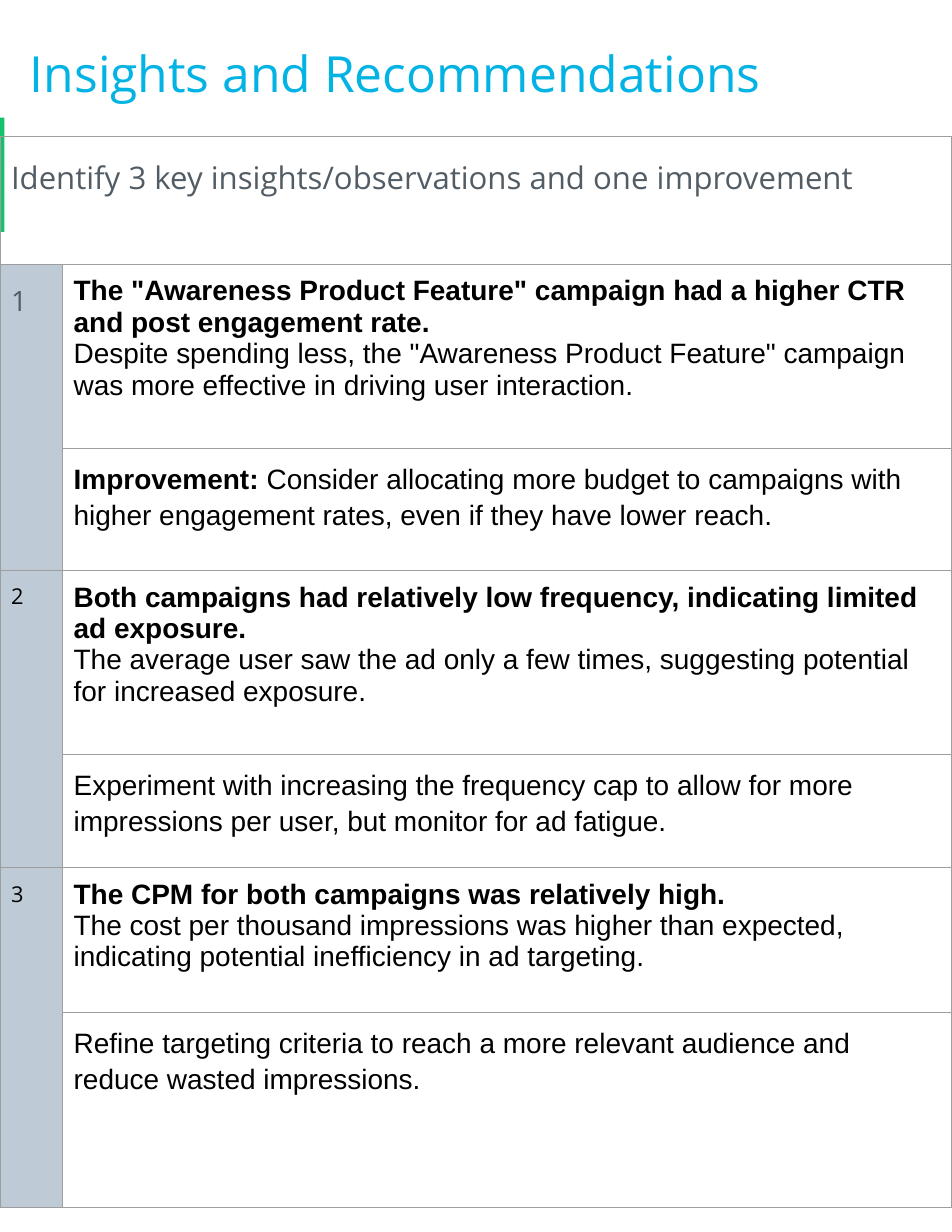
from dataclasses import dataclass

from lxml import etree
from pptx import Presentation
from pptx.dml.color import RGBColor
from pptx.enum.shapes import MSO_SHAPE
from pptx.enum.text import MSO_ANCHOR
from pptx.oxml.ns import qn
from pptx.util import Cm, Pt

RECTANGLE = MSO_SHAPE.RECTANGLE
TOP, MIDDLE = MSO_ANCHOR.TOP, MSO_ANCHOR.MIDDLE

CYAN = RGBColor(0x02, 0xB3, 0xE4)
GREEN = RGBColor(0x15, 0xC2, 0x6B)
SLATE = RGBColor(0x52, 0x5C, 0x65)
PALE_BLUE = RGBColor(0xBE, 0xCB, 0xD6)
BLACK = RGBColor(0, 0, 0)
BORDER = "9E9E9E"

INSET = Cm(0.25)
COLUMN_WIDTHS = (1.42, 20.17)
ROW_HEIGHTS = (2.9, 4.17, 2.77, 4.17, 2.57, 3.28, 4.42)


@dataclass
class Style:
    size: int
    color: RGBColor = BLACK
    font: str = "Open Sans"
    bold: bool = False
    line: float = 1.0
    after: int = 0


@dataclass
class Insight:
    number: Style
    headline: str
    detail: str
    action: str
    label: str = ""


TITLE = Style(32, CYAN, line=1.15)
PROMPT = Style(20, SLATE, line=1.2)
FIRST_NUMBER = Style(18, SLATE, line=1.15, after=16)
NUMBER = Style(14)
HEADLINE = Style(18, font="Arial", bold=True)
DETAIL = Style(18, font="Arial")
ACTION = Style(18, font="Arial", line=1.15, after=16)

INSIGHTS = (
    Insight(FIRST_NUMBER,
            'The "Awareness Product Feature" campaign had a higher CTR and post engagement rate.',
            'Despite spending less, the "Awareness Product Feature" campaign was more effective '
            "in driving user interaction.",
            " Consider allocating more budget to campaigns with higher engagement rates, "
            "even if they have lower reach.",
            label="Improvement:"),
    Insight(NUMBER,
            "Both campaigns had relatively low frequency, indicating limited ad exposure.",
            "The average user saw the ad only a few times, suggesting potential for "
            "increased exposure.",
            "Experiment with increasing the frequency cap to allow for more impressions per "
            "user, but monitor for ad fatigue."),
    Insight(NUMBER,
            "The CPM for both campaigns was relatively high.",
            "The cost per thousand impressions was higher than expected, indicating potential "
            "inefficiency in ad targeting.",
            "Refine targeting criteria to reach a more relevant audience and reduce wasted "
            "impressions."),
)


def format_run(r, style: Style) -> None:
    r.font.name = style.font
    r.font.size = Pt(style.size)
    r.font.bold = style.bold
    r.font.color.rgb = style.color


def write(tf, *lines: tuple[str, Style]) -> None:
    tf.word_wrap = True
    tf.text = "\n".join(text for text, _ in lines)
    for p, (_, style) in zip(tf.paragraphs, lines):
        p.line_spacing = style.line
        p.space_after = Pt(style.after)
        for r in p.runs:
            format_run(r, style)


def set_insets(box) -> None:
    box.margin_left = box.margin_right = INSET
    box.margin_top = box.margin_bottom = INSET


def style_cell(cell) -> None:
    set_insets(cell)
    cell.vertical_anchor = TOP
    tc_pr = cell._tc.get_or_add_tcPr()
    for side in ("a:lnL", "a:lnR", "a:lnT", "a:lnB"):
        ln = etree.SubElement(tc_pr, qn(side), w=str(Pt(0.75)))
        fill = etree.SubElement(ln, qn("a:solidFill"))
        etree.SubElement(fill, qn("a:srgbClr"), val=BORDER)
    cell.fill.background()


def add_insight(table, index: int, insight: Insight) -> None:
    row = 1 + 2 * index
    number = table.cell(row, 0)
    number.merge(table.cell(row + 1, 0))
    for r in (row, row + 1):
        fill = table.cell(r, 0).fill
        fill.solid()
        fill.fore_color.rgb = PALE_BLUE
    write(number.text_frame, (str(index + 1), insight.number))
    write(table.cell(row, 1).text_frame,
          (insight.headline, HEADLINE), (insight.detail, DETAIL))

    tf = table.cell(row + 1, 1).text_frame
    write(tf, (insight.label or insight.action, ACTION))
    if insight.label:
        p = tf.paragraphs[0]
        p.runs[0].font.bold = True
        r = p.add_run()
        r.text = insight.action
        format_run(r, ACTION)


def main() -> None:
    prs = Presentation()
    prs.slide_width, prs.slide_height = Cm(21.59), Cm(27.94)
    slide = prs.slides.add_slide(prs.slide_layouts[6])

    # Green accent bar
    sp = slide.shapes.add_shape(RECTANGLE, 0, Cm(2.67), Cm(0.1), Cm(2.59))
    sp.shadow.inherit = False
    sp.fill.solid()
    sp.fill.fore_color.rgb = GREEN
    sp.line.fill.background()

    # Title
    sp = slide.shapes.add_textbox(Cm(0.43), 0, Cm(20.12), Cm(3.1))
    set_insets(sp.text_frame)
    sp.text_frame.vertical_anchor = MIDDLE
    write(sp.text_frame, ("Insights and Recommendations", TITLE))

    # Table grid
    table = slide.shapes.add_table(
        len(ROW_HEIGHTS), len(COLUMN_WIDTHS), 0, Cm(3.1),
        Cm(sum(COLUMN_WIDTHS)), Cm(sum(ROW_HEIGHTS))).table
    table.first_row = table.horz_banding = False
    for column, width in zip(table.columns, COLUMN_WIDTHS):
        column.width = Cm(width)
    for row, height in zip(table.rows, ROW_HEIGHTS):
        row.height = Cm(height)
    for cell in table.iter_cells():
        style_cell(cell)

    # Prompt and insights
    prompt = table.cell(0, 0)
    prompt.merge(table.cell(0, 1))
    write(prompt.text_frame,
          ("Identify 3 key insights/observations and one improvement", PROMPT))
    for index, insight in enumerate(INSIGHTS):
        add_insight(table, index, insight)

    prs.save("out.pptx")


if __name__ == "__main__":
    main()
